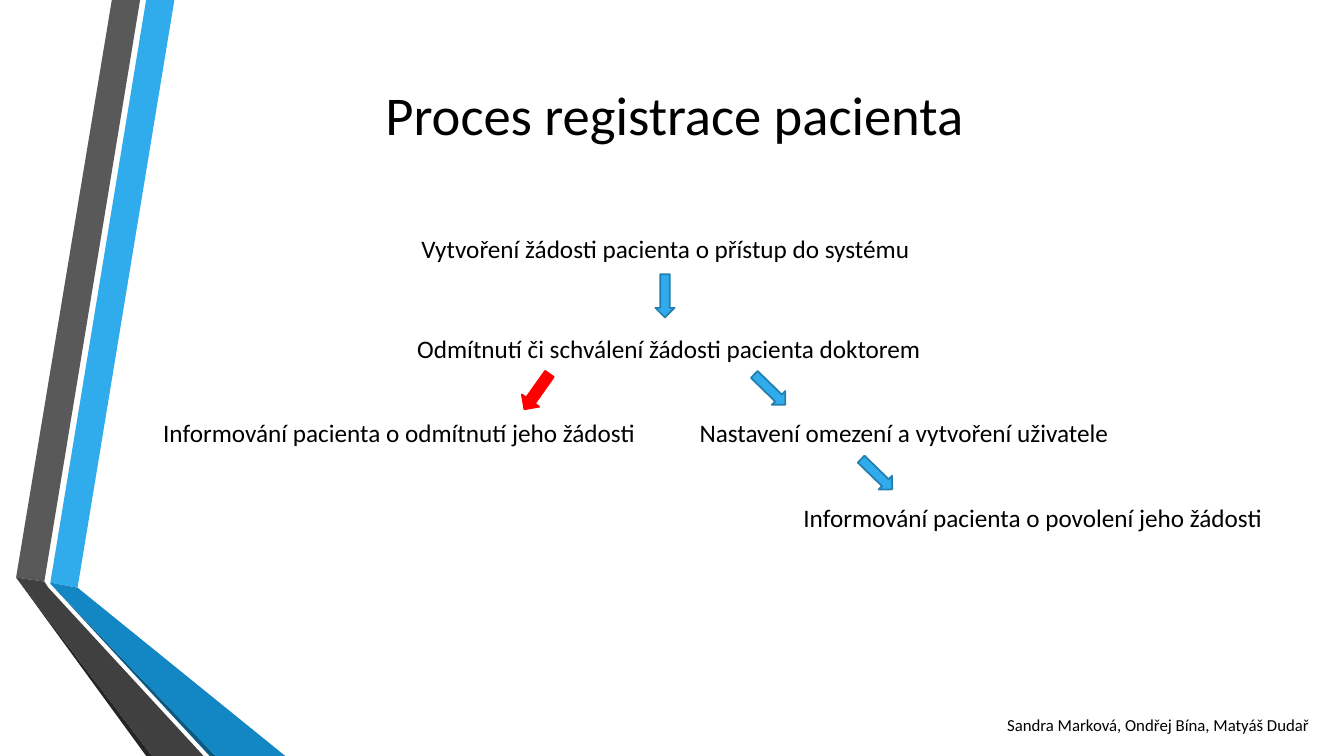
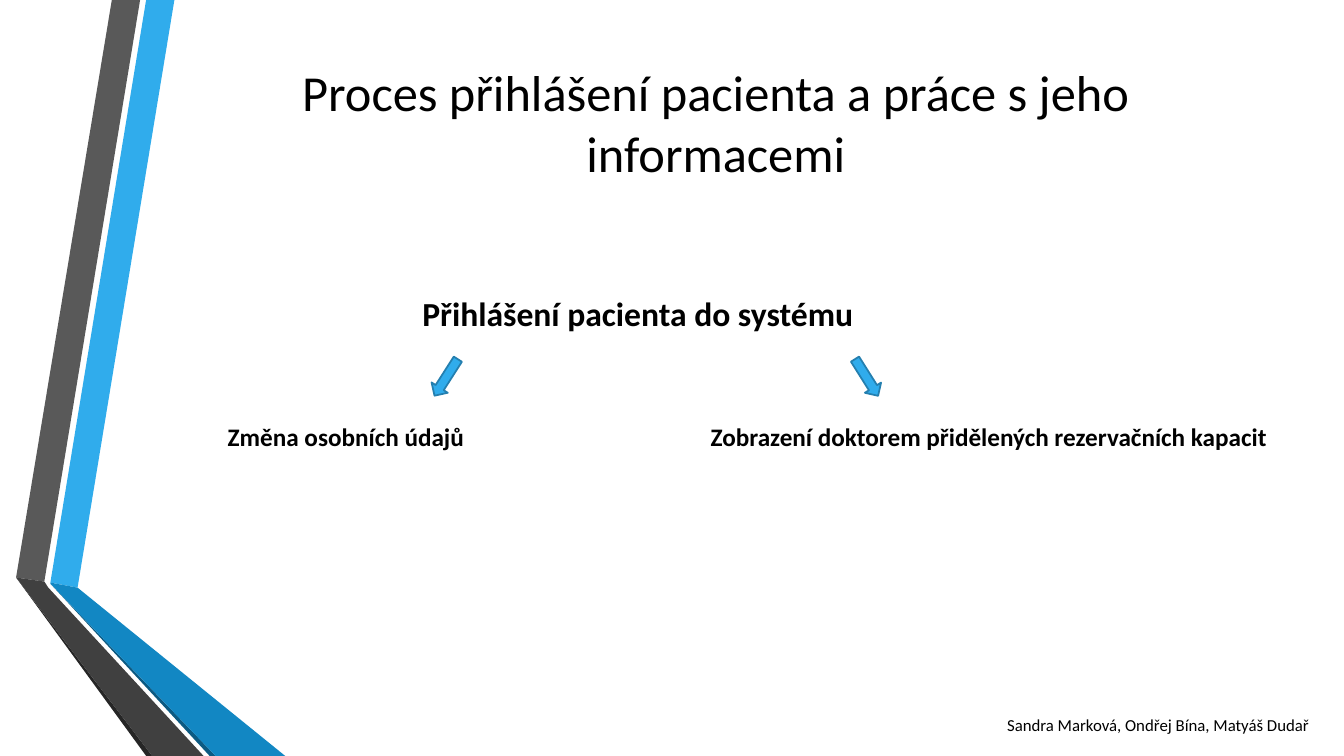
from dataclasses import dataclass
from typing import NamedTuple

from pptx import Presentation
from pptx.dml.color import RGBColor
from pptx.enum.shapes import MSO_SHAPE as Preset
from pptx.enum.text import MSO_ANCHOR as Anchor, PP_ALIGN as Align
from pptx.util import Pt

PX = 9144  # EMU per px, 100 px to the inch


@dataclass(frozen=True)
class Theme:
    font: str = "Calibri"
    text: str = "000000"
    background: str = "FFFFFF"
    blue: str = "30ACEC"
    blue_edge: str = "247FAF"
    blue_dark: str = "1287C3"
    blue_shade: str = "0C5A82"
    grey: str = "595959"
    grey_dark: str = "404040"
    grey_shade: str = "262626"
    red: str = "FF0000"
    title_size: int = 39
    long_title_size: int = 36
    lead_size: int = 24
    step_size: int = 18
    authors_size: int = 12
    arrow_line: float = 1.25


THEME = Theme()


class Box(NamedTuple):
    left: int
    top: int
    width: int
    height: int

    def inner(self, x, y, width, height):
        """Box whose offset is counted from this box's corner."""
        return Box(self.left + x, self.top + y, width, height)

    def emu(self):
        return [length * PX for length in self]


class Step(NamedTuple):
    text: str
    x: int
    y: int
    width: int
    size: int = THEME.step_size
    bold: bool = False


class Arrow(NamedTuple):
    x: int
    y: int
    angle: float
    fill: str = THEME.blue
    edge: str = THEME.blue_edge
    thickness: int = 19


PAGE = Box(0, 0, 1333, 750)
AUTHORS_BOX = Box(989, 704, 344, 30)
AUTHORS = "Sandra Marková, Ondřej Bína, Matyáš Dudař"
ARROW_LENGTH = 43

RIBBON = [
    (THEME.blue, [(50, 578), (77, 583), (173, 0), (145, 0)]),
    (THEME.grey, [(139, 0), (111, 0), (16, 573), (44, 577)]),
    (THEME.grey_shade, [(16, 573), (145, 750), (151, 750)]),
    (THEME.blue_shade, [(50, 579), (208, 750), (214, 750)]),
    (THEME.blue_dark, [(50, 578), (50, 579), (214, 750), (283, 750), (77, 583)]),
    (THEME.grey_dark, [(202, 750), (48, 583), (44, 577), (16, 573), (151, 750)]),
]


def rgb(colour):
    return RGBColor.from_string(colour)


def paint(shape, fill, edge=None):
    shape.shadow.inherit = False
    shape.fill.solid()
    shape.fill.fore_color.rgb = rgb(fill)
    if edge:
        shape.line.color.rgb = rgb(edge)
        shape.line.width = Pt(THEME.arrow_line)
    else:
        shape.line.fill.background()


def add_text(slide, box, text, *, size, bold=False, align=Align.LEFT, anchor=Anchor.TOP):
    frame = slide.shapes.add_textbox(*box.emu()).text_frame
    frame.word_wrap = True
    frame.vertical_anchor = anchor
    paragraph = frame.paragraphs[0]
    paragraph.alignment = align
    run = paragraph.add_run()
    run.text = text
    run.font.name = THEME.font
    run.font.size = Pt(size)
    run.font.bold = bold
    run.font.color.rgb = rgb(THEME.text)


def add_ribbon(slide, box):
    for fill, (start, *corners) in RIBBON:
        outline = slide.shapes.build_freeform(*start, scale=PX)
        outline.add_line_segments(corners, close=True)
        paint(outline.convert_to_shape(box.left * PX, box.top * PX), fill)


def add_title(slide, box, text, size):
    add_text(slide, box, text, size=size, align=Align.CENTER, anchor=Anchor.MIDDLE)


def add_flow(slide, box, steps, arrows):
    """Place steps and arrows at offsets from the corner of the box."""
    for step in steps:
        height = 50 if step.size == THEME.lead_size else 40
        add_text(slide, box.inner(step.x, step.y, step.width, height),
                 step.text, size=step.size, bold=step.bold)
    for arrow in arrows:
        place = box.inner(arrow.x, arrow.y, ARROW_LENGTH, arrow.thickness)
        shape = slide.shapes.add_shape(Preset.RIGHT_ARROW, *place.emu())
        shape.rotation = arrow.angle
        paint(shape, arrow.fill, arrow.edge)


def add_process_slide(deck, title, title_box, title_size, flow_box, steps, arrows):
    slide = deck.slides.add_slide(deck.slide_layouts[6])
    slide.background.fill.solid()
    slide.background.fill.fore_color.rgb = rgb(THEME.background)
    add_ribbon(slide, PAGE)
    add_title(slide, title_box, title, title_size)
    add_flow(slide, flow_box, steps, arrows)
    add_text(slide, AUTHORS_BOX, AUTHORS, size=THEME.authors_size)


def main():
    deck = Presentation()
    deck.slide_width, deck.slide_height = PAGE.emu()[2:]

    add_process_slide(
        deck, "Proces registrace pacienta",
        Box(121, 48, 1096, 130), THEME.title_size, Box(152, 227, 1181, 306),
        steps=[
            Step("Vytvoření žádosti pacienta o přístup do systému", 256, 0, 521),
            Step("Odmítnutí či schválení žádosti pacienta doktorem", 252, 99, 766),
            Step("Informování pacienta o odmítnutí jeho žádosti", 0, 182, 561),
            Step("Nastavení omezení a vytvoření uživatele", 532, 182, 561),
            Step("Informování pacienta o povolení jeho žádosti", 635, 266, 561),
        ],
        arrows=[
            Arrow(486, 57, 90),
            Arrow(359, 151, 125.3, THEME.red, THEME.red, 21),
            Arrow(590, 150, 44.2),
            Arrow(696, 234, 44.2),
        ])

    add_process_slide(
        deck, "Proces přihlášení pacienta a práce s jeho informacemi",
        Box(162, 75, 1096, 92), THEME.long_title_size, Box(216, 286, 1095, 167),
        steps=[
            Step("Přihlášení pacienta do systému", 193, 0, 487, THEME.lead_size, True),
            Step("Změna osobních údajů", 0, 127, 292, bold=True),
            Step("Zobrazení doktorem přidělených rezervačních kapacit",
                 479, 127, 616, bold=True),
        ],
        arrows=[Arrow(205, 79, 122.6), Arrow(622, 79, 57.8)])

    deck.save("out.pptx")


if __name__ == "__main__":
    main()
